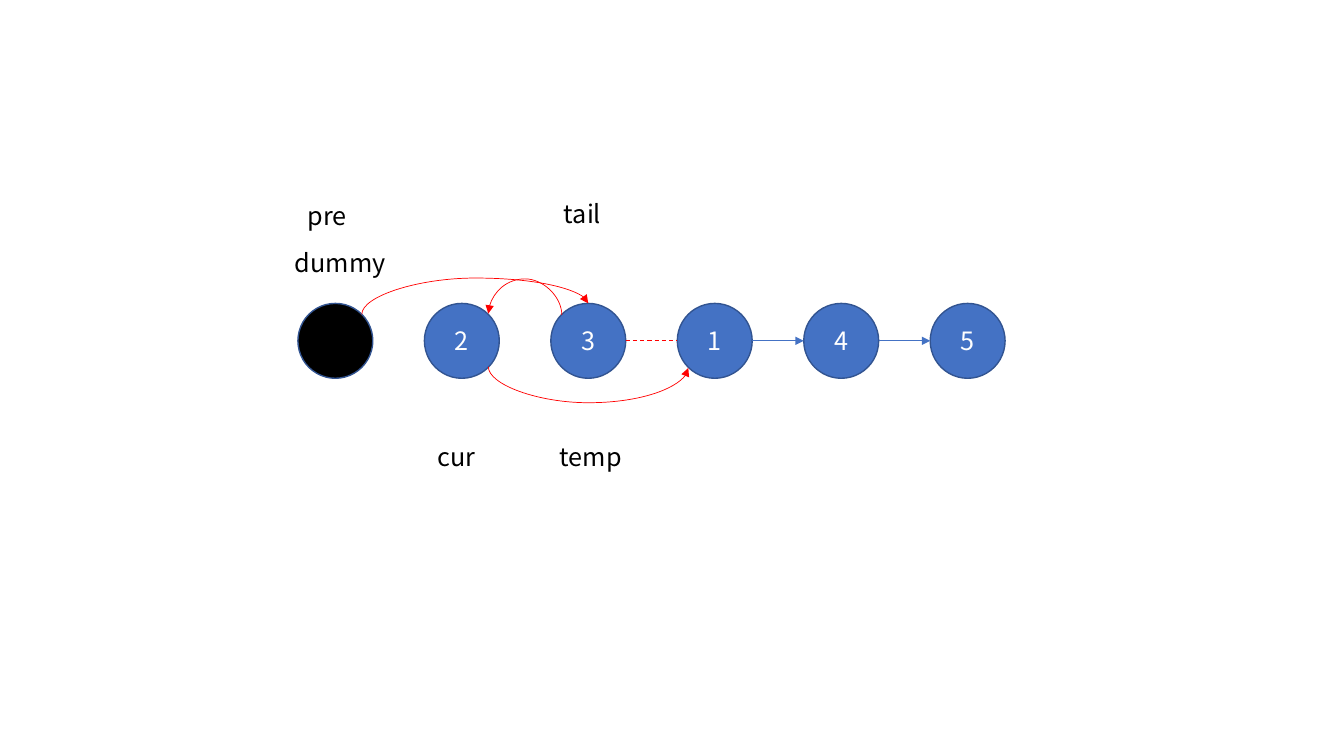
import pptx
import pptx.util
import pptx.dml.color
import pptx.enum.dml
import pptx.enum.shapes
import pptx.enum.text
import pptx.oxml
import pptx.oxml.ns

Pt = pptx.util.Pt
RGBColor = pptx.dml.color.RGBColor
CONNECTOR = pptx.enum.shapes.MSO_CONNECTOR

BLUE = RGBColor(0x44, 0x72, 0xC4)
OUTLINE = RGBColor(0x32, 0x54, 0x91)
RED = RGBColor(0xFF, 0x00, 0x00)
BLACK = RGBColor(0x00, 0x00, 0x00)
WHITE = RGBColor(0xFF, 0xFF, 0xFF)
FONT = "Noto Sans CJK SC"
NODE_SIZE = 53.5
NODE_STEP = 90.33
DIAGONAL = NODE_SIZE / 2 * 0.5 ** 0.5
CURVE_RISE = 26


def format_text(paragraph, color):
    for run in paragraph.runs:
        run.font.name = FONT
        run.font.size = Pt(18)
        run.font.color.rgb = color


def add_node(slide, center, text, fill):
    x, y = center
    node = slide.shapes.add_shape(
        pptx.enum.shapes.MSO_SHAPE.OVAL,
        Pt(x - NODE_SIZE / 2), Pt(y - NODE_SIZE / 2), Pt(NODE_SIZE), Pt(NODE_SIZE))
    node.shadow.inherit = False
    node.fill.solid()
    node.fill.fore_color.rgb = fill
    node.line.color.rgb = OUTLINE
    node.line.width = Pt(1)
    if text:
        node.text_frame.text = text
        node.text_frame.vertical_anchor = pptx.enum.text.MSO_ANCHOR.MIDDLE
        paragraph = node.text_frame.paragraphs[0]
        paragraph.alignment = pptx.enum.text.PP_ALIGN.CENTER
        format_text(paragraph, WHITE)


def add_label(slide, box, text):
    label = slide.shapes.add_textbox(*(Pt(length) for length in box))
    label.text_frame.word_wrap = True
    label.text_frame.auto_size = pptx.enum.text.MSO_AUTO_SIZE.SHAPE_TO_FIT_TEXT
    label.text_frame.text = text
    format_text(label.text_frame.paragraphs[0], BLACK)


def add_link(slide, kind, start, end, color, width=0.5, arrow=True):
    link = slide.shapes.add_connector(kind, *(Pt(length) for length in start + end))
    link.line.color.rgb = color
    link.line.width = Pt(width)
    if arrow:
        link.line._get_or_add_ln().append(pptx.oxml.parse_xml(
            f'<a:tailEnd {pptx.oxml.ns.nsdecls("a")} type="triangle"/>'))
    link._element.spPr.append(
        pptx.oxml.parse_xml(f'<a:effectLst {pptx.oxml.ns.nsdecls("a")}/>'))
    return link


def add_curve(slide, start, end):
    run, drop = end[0] - start[0], end[1] - start[1]
    width, height = abs(drop), abs(run)
    curve = add_link(slide, CONNECTOR.CURVE, start, end, RED)
    curve.left = Pt((start[0] + end[0] - width) / 2)
    curve.top = Pt((start[1] + end[1] - height) / 2)
    curve.width, curve.height = Pt(width), Pt(height)
    transform = curve._element.spPr.find(pptx.oxml.ns.qn("a:xfrm"))
    transform.set("rot", "16200000")
    transform.set("flipH", str(int(drop > 0)))
    transform.set("flipV", str(int(run < 0)))
    geometry = curve._element.spPr.find(pptx.oxml.ns.qn("a:prstGeom"))
    for adjustments in geometry.findall(pptx.oxml.ns.qn("a:avLst")):
        geometry.remove(adjustments)
    bend = round(CURVE_RISE / width * 100000)
    geometry.append(pptx.oxml.parse_xml(
        f'<a:avLst {pptx.oxml.ns.nsdecls("a")}><a:gd name="adj1" fmla="val {bend}"/></a:avLst>'))


def add_linked_list(slide, left, top):
    radius = NODE_SIZE / 2
    middle = top + radius
    upper, lower = middle - DIAGONAL, middle + DIAGONAL
    centers = [left + radius + index * NODE_STEP for index in range(6)]
    dummy, two, three, one, four, five = centers
    for center, text in zip(centers, ("", "2", "3", "1", "4", "5")):
        add_node(slide, (center, middle), text, BLUE if text else BLACK)
    broken = add_link(slide, CONNECTOR.STRAIGHT, (three + radius, middle),
                      (one - radius, middle), RED, 0.75, False)
    broken.line.dash_style = pptx.enum.dml.MSO_LINE.DASH
    for source, target in ((one, four), (four, five)):
        add_link(slide, CONNECTOR.STRAIGHT, (source + radius, middle),
                 (target - radius, middle), BLUE)
    add_curve(slide, (dummy + DIAGONAL, upper), (three, top))
    add_curve(slide, (two + DIAGONAL, lower - 0.5), (one - DIAGONAL, lower + 0.5))
    add_curve(slide, (three - DIAGONAL, upper + 0.5), (two + DIAGONAL, upper - 0.5))


def add_pointer_labels(slide, left, top):
    for x, y, width, text in (
            (-9.2, -43.3, 94.3, "dummy"), (183, -78.5, 48.2, "tail"),
            (0, -77, 48.2, "pre"), (92.9, 95, 48.2, "cur"), (180, 95, 67, "temp")):
        add_label(slide, (left + x, top + y, width, 29.2), text)


def main():
    presentation = pptx.Presentation()
    presentation.slide_width, presentation.slide_height = Pt(960), Pt(540)
    slide = presentation.slides.add_slide(presentation.slide_layouts[6])
    left, top = 212.8, 216.7
    add_linked_list(slide, left, top)
    add_pointer_labels(slide, left, top)
    presentation.save("out.pptx")


if __name__ == "__main__":
    main()
